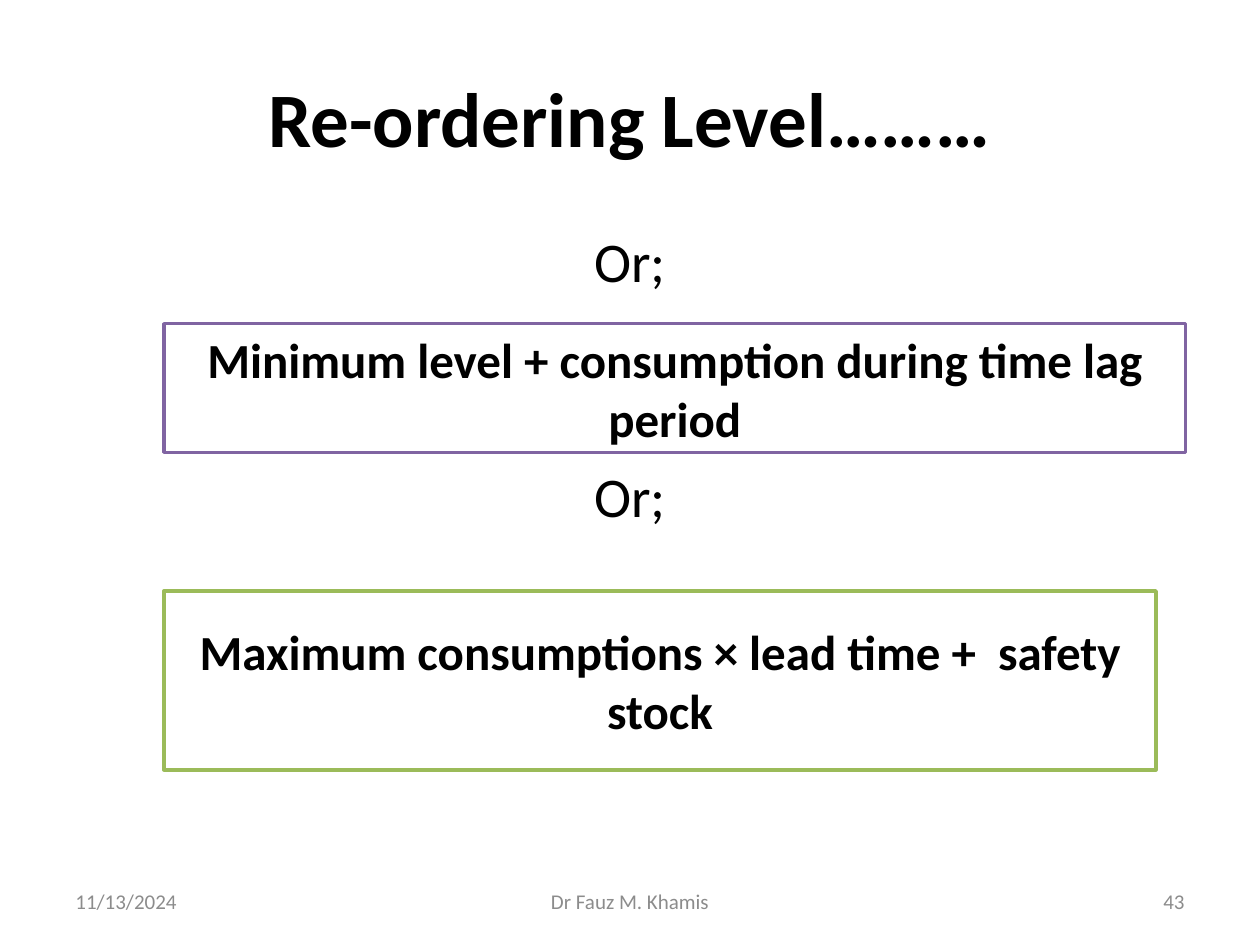
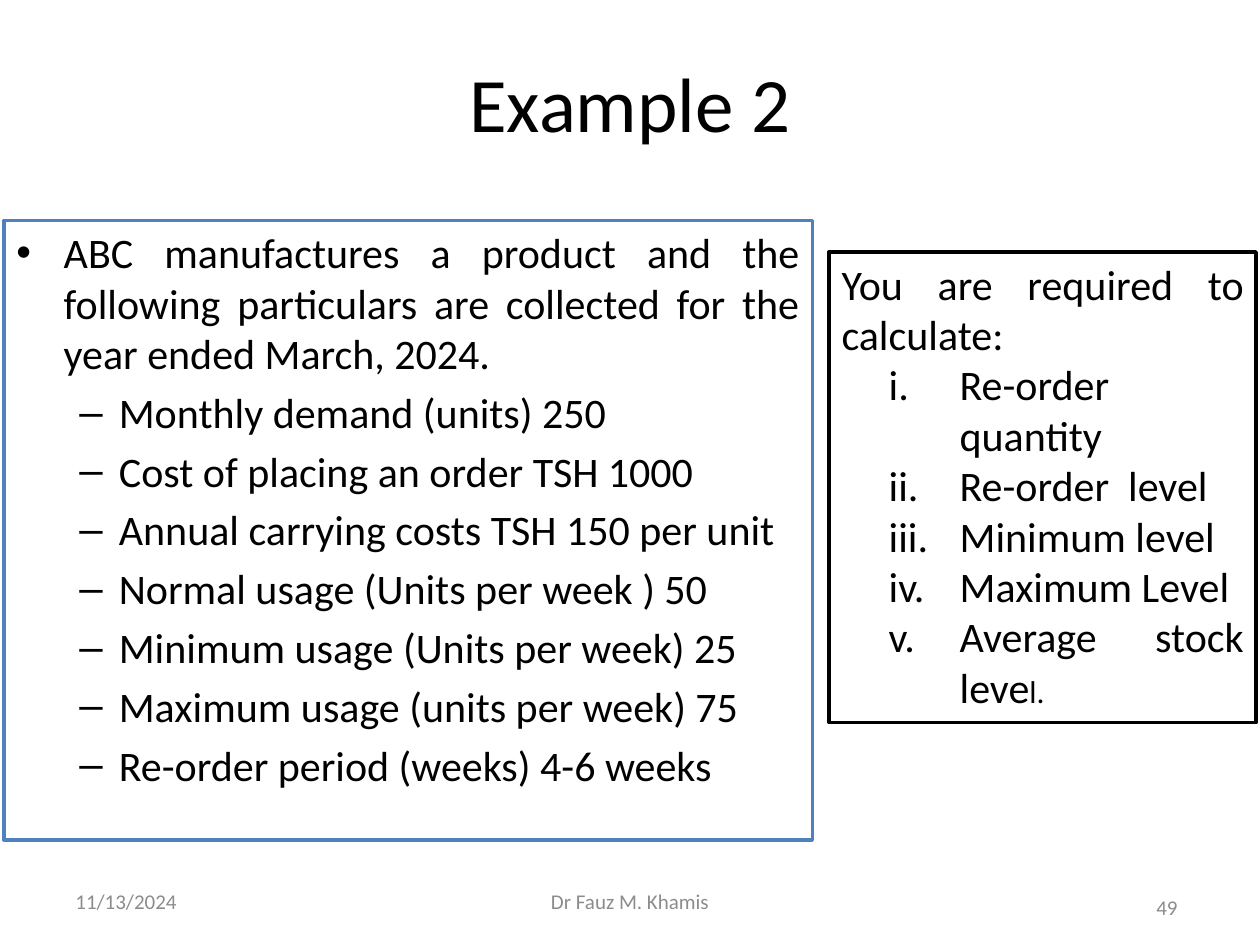
from lxml import etree
from pptx import Presentation
from pptx.dml.color import RGBColor
from pptx.enum import shapes, text
from pptx.oxml.ns import qn
from pptx.util import Pt

LEFT, MID, RIGHT, FULL = (text.PP_ALIGN.LEFT, text.PP_ALIGN.CENTER,
                          text.PP_ALIGN.RIGHT, text.PP_ALIGN.JUSTIFY)
RECT = shapes.MSO_SHAPE.RECTANGLE
BLACK, GREY, WHITE = "000000", "8C8C8C", "FFFFFF"
PURPLE, GREEN, BLUE = "8064A2", "9BBB59", "4F81BD"


def hue(code):
    return RGBColor.from_string(code)


def style(shape, size, align, color=BLACK, bold=False):
    frame = shape.text_frame
    frame.word_wrap = True
    frame.auto_size = text.MSO_AUTO_SIZE.NONE
    for para in frame.paragraphs:
        para.alignment = align
        for run in para.runs:
            font = run.font
            font.name, font.size, font.bold = "Calibri", Pt(size), bold
            font.color.rgb = hue(color)


deck = Presentation()
deck.slide_width, deck.slide_height = Pt(720), Pt(540)

# Shared title and footers: title, title height, bold, page, page left, page top
pages = [("Re-ordering Level………", 90, True, "43", 516, 500.4),
         ("Example 2", 73, False, "49", 512, 504)]
for name, high, bold, page, left, top in pages:
    slide = deck.slides.add_slide(deck.slide_layouts[1])
    title = slide.shapes.title
    title.left, title.top, title.width, title.height = Pt(36), Pt(21.6), Pt(648), Pt(high)
    title.text_frame.text = name
    style(title, 44, MID, bold=bold)
    feet = [("11/13/2024", 36, 500.4, 168, LEFT),
            ("Dr Fauz M. Khamis", 246, 500.4, 228, MID),
            (page, left, top, 168, RIGHT)]
    for label, x, y, wide, align in feet:
        foot = slide.shapes.add_textbox(Pt(x), Pt(y), Pt(wide), Pt(28.8))
        foot.text_frame.text = label
        foot.text_frame.vertical_anchor = text.MSO_ANCHOR.MIDDLE
        style(foot, 12, align, GREY)

level, sample = deck.slides
framed = []

# Re-ordering level: two formulas between the "Or;" lines
body = level.placeholders[1]
body.left, body.top, body.width, body.height = Pt(36), Pt(126), Pt(648), Pt(356.4)
body.text_frame.text = "Or;\nOr;"
style(body, 32, MID)
for para in body.text_frame.paragraphs:
    props = para._p.get_or_add_pPr()
    props.set("marL", "0")
    props.set("indent", "0")
    etree.SubElement(props, qn("a:buNone"))
body.text_frame.paragraphs[1].space_before = Pt(95.5)

rules = [("Minimum level + consumption during time lag period", 185, 584, 73.5, PURPLE),
         ("Maximum consumptions × lead time +  safety stock", 337.7, 567, 102.2, GREEN)]
for rule, top, wide, high, color in rules:
    box = level.shapes.add_shape(RECT, Pt(93.6), Pt(top), Pt(wide), Pt(high))
    box.text_frame.text = rule
    style(box, 28, MID, bold=True)
    framed.append((box, color))

# Example 2: the facts
facts = sample.placeholders[1]
facts.left, facts.top, facts.width, facts.height = Pt(2.2), Pt(126), Pt(462), Pt(354)
facts.text_frame.text = "\n".join([
    "ABC manufactures a product and the following particulars are collected "
    "for the year ended March, 2024.",
    "Monthly demand (units) 250",
    "Cost of placing an order TSH 1000",
    "Annual carrying costs TSH 150 per unit ",
    "Normal usage (Units per week ) 50 ",
    "Minimum usage (Units per week) 25",
    "Maximum usage (units per week) 75",
    "Re-order period (weeks) 4-6 weeks"])
for para in facts.text_frame.paragraphs[1:]:
    para.level = 1
style(facts, 24, FULL)
framed.append((facts, BLUE))

# Example 2: the tasks, numbered in roman
tasks = sample.shapes.add_shape(RECT, Pt(473.8), Pt(144), Pt(244), Pt(269))
tasks.text_frame.text = "\n".join([
    "You are required to calculate:", "Re-order quantity", "Re-order  level",
    "Minimum level", "Maximum Level", "Average stock leve"])
tasks.text_frame.vertical_anchor = text.MSO_ANCHOR.TOP
lines = tasks.text_frame.paragraphs
lines[-1].add_run().text = "l."
style(tasks, 24, FULL)
lines[-1].runs[-1].font.size = Pt(18)
for para in lines[1:]:
    para.level = 1
    props = para._p.get_or_add_pPr()
    props.set("marL", str(Pt(67.5)))
    props.set("indent", str(Pt(-40.5)))
    etree.SubElement(props, qn("a:buFont"), typeface="+mj-lt")
    etree.SubElement(props, qn("a:buAutoNum"), type="romanLcPeriod")
framed.append((tasks, BLACK))

# Outlines of all framed boxes
for box, color in framed:
    box.fill.solid()
    box.fill.fore_color.rgb = hue(WHITE)
    box.line.color.rgb = hue(color)
    box.line.width = Pt(2)
for box in (framed[0][0], framed[1][0], tasks):
    box.shadow.inherit = False

deck.save("out.pptx")
